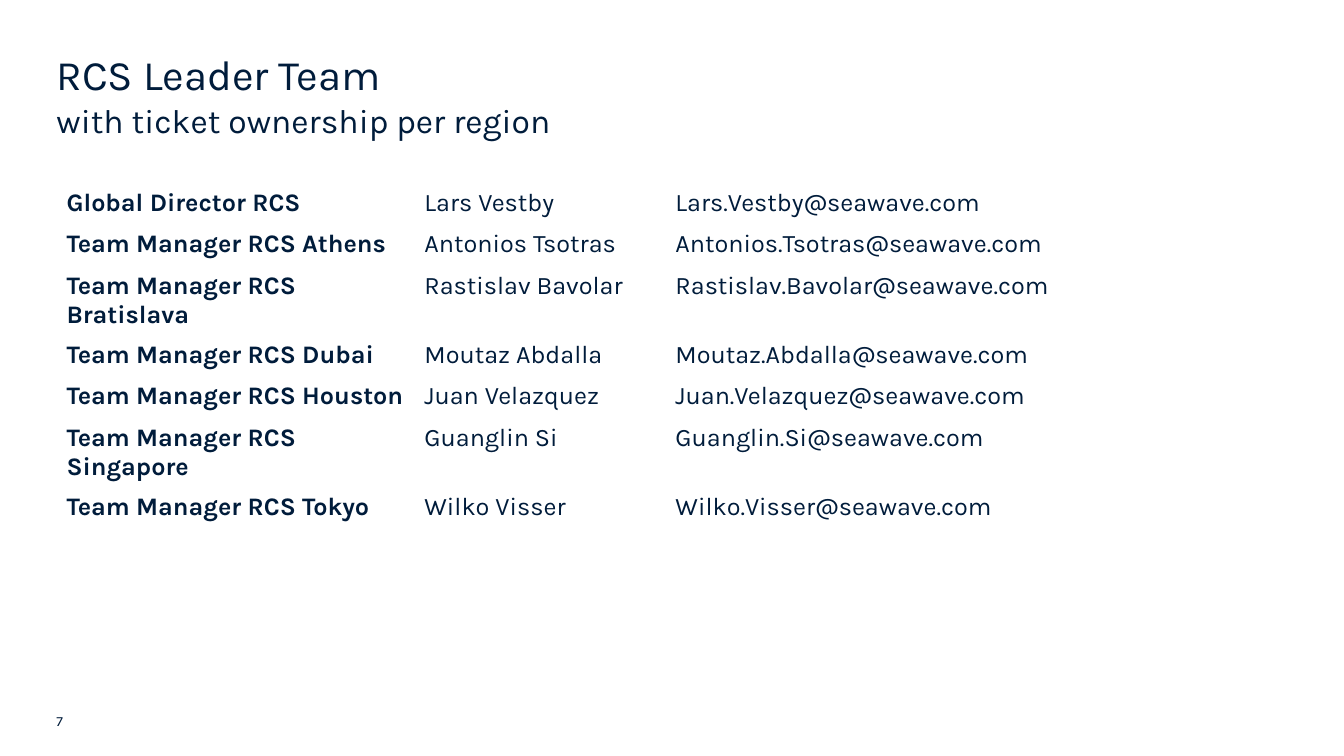
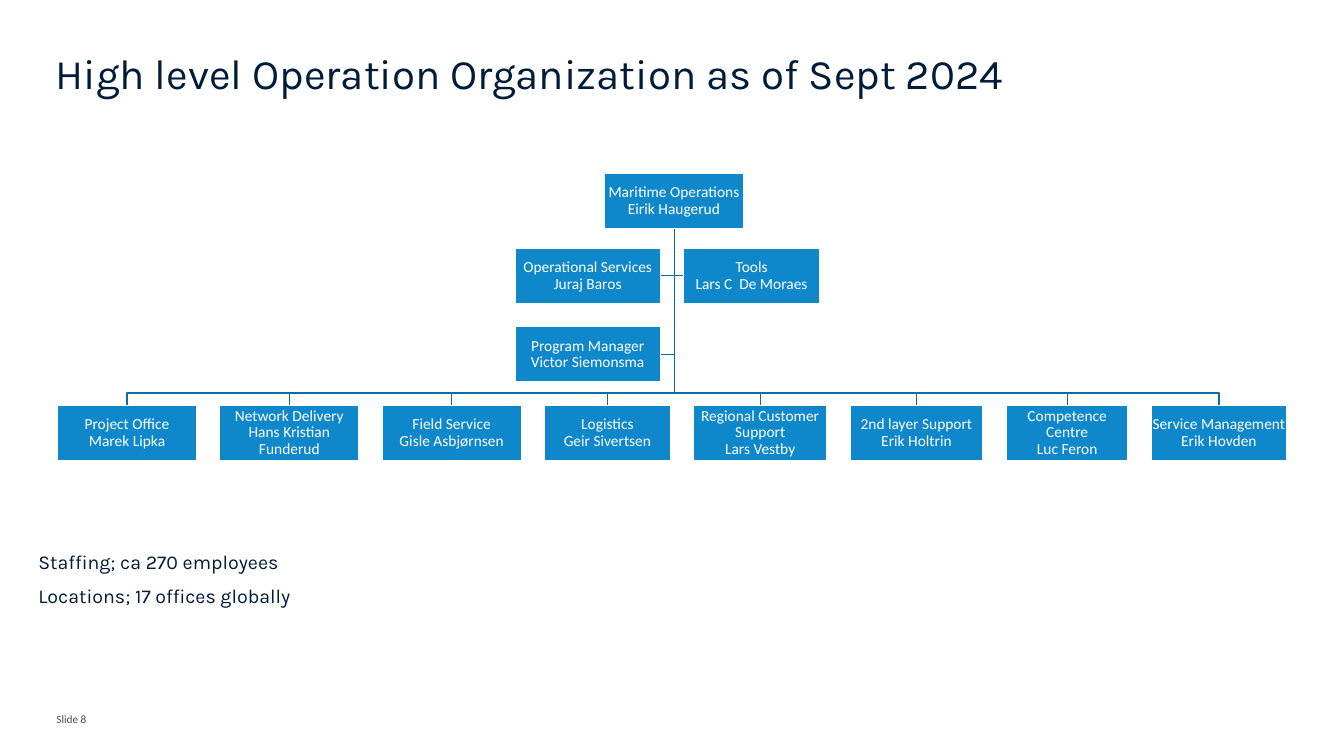
from lxml import etree
from pptx import Presentation
from pptx.dml.color import RGBColor
from pptx.enum.shapes import MSO_SHAPE
from pptx.enum.text import MSO_ANCHOR, MSO_AUTO_SIZE, PP_ALIGN
from pptx.oxml.ns import qn
from pptx.util import Inches, Pt

RECTANGLE = MSO_SHAPE.RECTANGLE
TOP, MIDDLE = MSO_ANCHOR.TOP, MSO_ANCHOR.MIDDLE
LEFT, CENTER = PP_ALIGN.LEFT, PP_ALIGN.CENTER
NO_AUTOFIT = MSO_AUTO_SIZE.NONE

NAVY, BLUE, LINE_BLUE, GREY, WHITE = "001C3B", "0E88CA", "0B6DA2", "4D4D4F", "FFFFFF"
BRAND_FONT, CHART_FONT = "Karla", "Calibri"
MARGIN, CONTENT_WIDTH = 0.56, 12.2
MAIL_DOMAIN = "seawave.com"

LEADERS = [
    ("Global Director RCS", "Lars Vestby"),
    ("Team Manager RCS Athens", "Antonios Tsotras"),
    ("Team Manager RCS Bratislava", "Rastislav Bavolar"),
    ("Team Manager RCS Dubai", "Moutaz Abdalla"),
    ("Team Manager RCS Houston", "Juan Velazquez"),
    ("Team Manager RCS Singapore", "Guanglin Si"),
    ("Team Manager RCS Tokyo", "Wilko Visser"),
]
STAFF_UNITS = [
    ("Operational Services\nJuraj Baros", 4.54, 0.74, 1.44),
    ("Tools\nLars C  De Moraes", 6.21, 0.74, 1.35),
    ("Program Manager\nVictor Siemonsma", 4.54, 1.52, 1.44),
]
DEPARTMENTS = [
    ("Project Office\nMarek Lipka", 1.38),
    ("Network Delivery\nHans Kristian Funderud", 1.38),
    ("Field Service\nGisle Asbjørnsen", 1.38),
    ("Logistics\nGeir Sivertsen", 1.25),
    ("Regional Customer Support\nLars Vestby", 1.32),
    ("2nd layer Support\nErik Holtrin", 1.32),
    ("Competence Centre\nLuc Feron", 1.21),
    ("Service Management\nErik Hovden", 1.34),
]
UNIT_HEIGHT, UNIT_GAP = 0.55, 0.23


def color(value):
    """Turn a hex string into a colour."""
    return RGBColor.from_string(value)


def set_font(paragraph, size, name=BRAND_FONT, hex_color=NAVY, bold=False):
    """Set the font of a whole paragraph."""
    font = paragraph.font
    font.size, font.name, font.bold = Pt(size), name, bold
    font.color.rgb = color(hex_color)


def set_frame(text_frame, inset=0, anchor=TOP, wrap=True):
    """Set the insets, anchor and wrapping of a text frame."""
    text_frame.margin_left = text_frame.margin_right = Inches(inset)
    text_frame.margin_top = text_frame.margin_bottom = Inches(inset)
    text_frame.vertical_anchor = anchor
    text_frame.auto_size = NO_AUTOFIT
    text_frame.word_wrap = wrap


def set_line(shape, hex_color):
    """Give a shape a thin line and no shadow."""
    shape.shadow.inherit = False
    shape.line.color.rgb = color(hex_color)
    shape.line.width = Pt(1)


def place(shape, left, top, width, height):
    """Move and size a shape, in inches."""
    shape.left, shape.top = Inches(left), Inches(top)
    shape.width, shape.height = Inches(width), Inches(height)


def add_title(slide, text, left, top):
    """Fill the title placeholder."""
    title = slide.shapes.title
    place(title, left, top, CONTENT_WIDTH, 0.45)
    set_frame(title.text_frame)
    paragraph = title.text_frame.paragraphs[0]
    paragraph.text = text
    paragraph.alignment = LEFT
    paragraph.line_spacing = 0.9
    set_font(paragraph, 30)


def add_body(slide, lines, size, left, top, height):
    """Fill the body placeholder with lines without bullets."""
    body = slide.placeholders[1]
    place(body, left, top, CONTENT_WIDTH, height)
    set_frame(body.text_frame)
    body.text_frame.text = "\n".join(lines)
    for paragraph in body.text_frame.paragraphs:
        paragraph.line_spacing = 1.1
        paragraph.space_before, paragraph.space_after = Pt(0), Pt(6)
        set_font(paragraph, size)
        properties = paragraph._p.get_or_add_pPr()
        properties.set("marL", "0")
        properties.set("indent", "0")
        properties.insert_element_before(
            etree.Element(qn("a:buNone")), "a:tabLst", "a:defRPr", "a:extLst")


def add_page_label(slide, text, *font):
    """Write the page label in the bottom left corner."""
    label = slide.shapes.add_textbox(
        Inches(MARGIN), Inches(7.07), Inches(0.28), Inches(0.17))
    set_frame(label.text_frame, wrap=False)
    paragraph = label.text_frame.paragraphs[0]
    paragraph.text = text
    set_font(paragraph, *font)


def add_leader_table(slide, left, top, column_widths, row_height):
    """Add the plain table of roles, names and mail addresses."""
    table = slide.shapes.add_table(
        len(LEADERS), len(column_widths), Inches(left), Inches(top),
        Inches(sum(column_widths)), Inches(row_height * len(LEADERS))).table
    table.first_row = table.horz_banding = False
    for column, width in zip(table.columns, column_widths):
        column.width = Inches(width)
    for row, (role, name) in zip(table.rows, LEADERS):
        row.height = Inches(row_height)
        mail = f"{name.replace(' ', '.')}@{MAIL_DOMAIN}"
        for index, (cell, text) in enumerate(zip(row.cells, (role, name, mail))):
            cell.fill.background()
            paragraph = cell.text_frame.paragraphs[0]
            paragraph.text = text
            set_font(paragraph, 18, bold=index == 0)


def add_unit(slide, text, left, top, width):
    """Add one box of the organization chart."""
    unit = slide.shapes.add_shape(
        RECTANGLE, Inches(left), Inches(top), Inches(width), Inches(UNIT_HEIGHT))
    unit.fill.solid()
    unit.fill.fore_color.rgb = color(BLUE)
    set_line(unit, WHITE)
    set_frame(unit.text_frame, inset=0.01, anchor=MIDDLE)
    paragraph = unit.text_frame.paragraphs[0]
    paragraph.text = text
    paragraph.alignment = CENTER
    paragraph.line_spacing = 0.9
    set_font(paragraph, 11, CHART_FONT, WHITE)


def add_branch(slide, points):
    """Add an open bent line through points given in inches."""
    start, *corners = [(Inches(x), Inches(y)) for x, y in points]
    builder = slide.shapes.build_freeform(*start)
    builder.add_line_segments(corners, close=False)
    branch = builder.convert_to_shape()
    branch.fill.background()
    set_line(branch, LINE_BLUE)


def add_organization_chart(slide, left, top):
    """Add the lead, the staff units and the row of departments."""
    trunk_x, bus_y, row_y = left + 6.12, top + 2.18, top + 2.3
    trunk_start = (trunk_x, top + UNIT_HEIGHT)
    units = [("Maritime Operations\nEirik Haugerud", left + 5.42, top, 1.39)]

    for text, x, y, width in STAFF_UNITS:
        unit_left, unit_top = left + x, top + y
        units.append((text, unit_left, unit_top, width))
        middle = unit_top + UNIT_HEIGHT / 2
        edge = unit_left if unit_left > trunk_x else unit_left + width
        add_branch(slide, [trunk_start, (trunk_x, middle), (edge, middle)])

    unit_left = left
    for text, width in DEPARTMENTS:
        units.append((text, unit_left, row_y, width))
        center = unit_left + width / 2
        add_branch(slide, [
            trunk_start, (trunk_x, bus_y), (center, bus_y), (center, row_y)])
        unit_left += width + UNIT_GAP

    for unit in units:
        add_unit(slide, *unit)


def build_leader_slide(slide):
    """Build the slide of regional leaders."""
    add_title(slide, "RCS Leader Team", MARGIN, 0.54)
    add_body(slide, ["with ticket ownership per region"], 24, MARGIN, 0.95, 0.42)
    add_leader_table(slide, MARGIN, 1.82, (3.55, 2.49, 4.59), 0.41)
    add_page_label(slide, "7", 10)


def build_organization_slide(slide):
    """Build the slide of the operation organization."""
    add_title(slide, "High level Operation Organization as of Sept 2024", 0.55, 0.53)
    add_organization_chart(slide, 0.57, 1.72)
    add_body(slide, ["Staffing; ca 270 employees", "Locations; 17 offices globally"],
             14, 0.38, 5.43, 1.66)
    add_page_label(slide, "Slide 8", 8, CHART_FONT, GREY)


def main():
    """Build and save the presentation."""
    presentation = Presentation()
    presentation.slide_width, presentation.slide_height = Inches(13.33), Inches(7.5)
    for build in (build_leader_slide, build_organization_slide):
        build(presentation.slides.add_slide(presentation.slide_layouts[1]))
    presentation.save("out.pptx")


if __name__ == "__main__":
    main()
